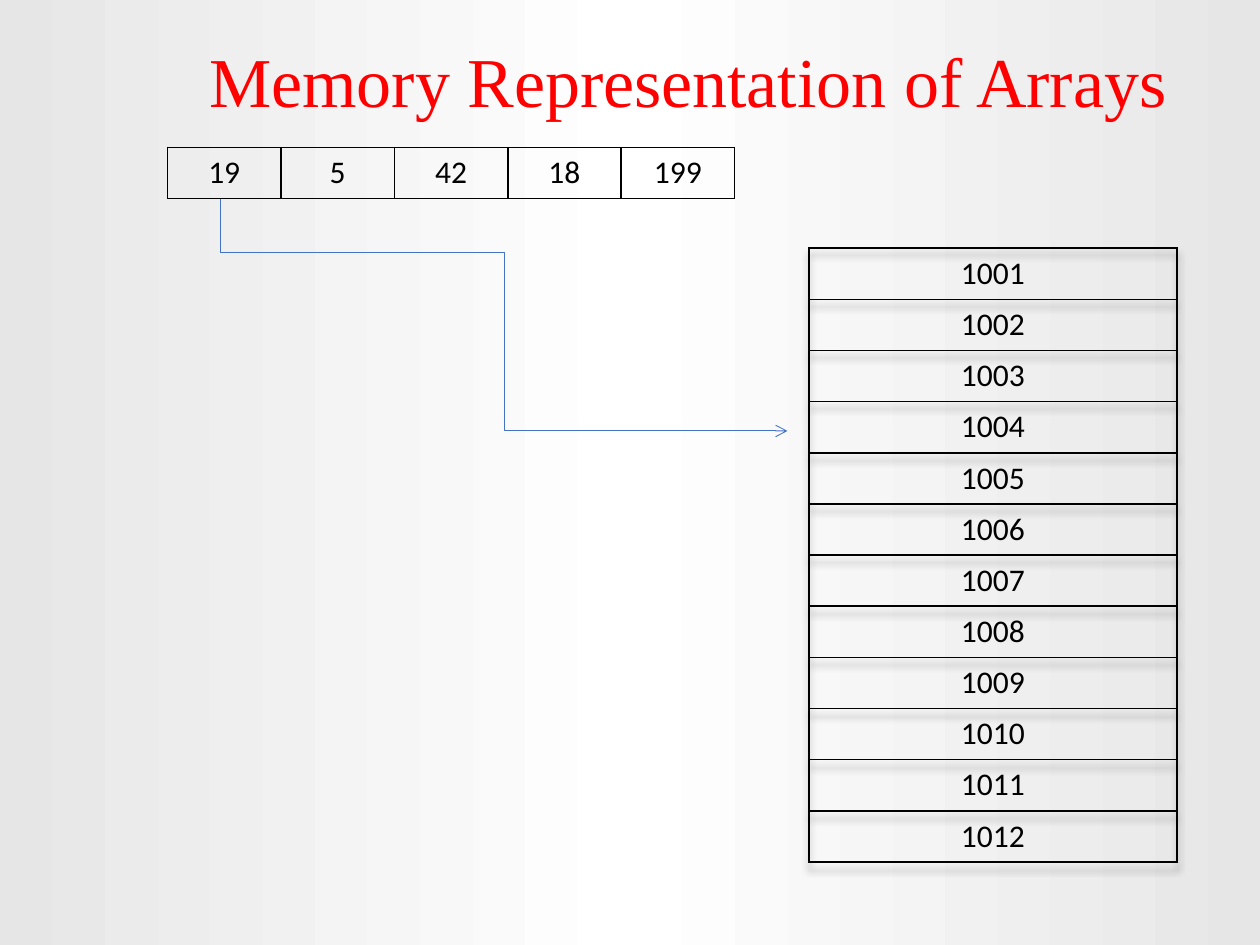
"""Build a slide showing how array values map to memory addresses."""
from copy import deepcopy

from lxml import etree
from pptx import Presentation
from pptx.dml.color import RGBColor
from pptx.enum.shapes import MSO_CONNECTOR
from pptx.enum.text import MSO_ANCHOR, PP_ALIGN
from pptx.oxml import parse_xml
from pptx.oxml.ns import nsdecls, qn
from pptx.util import Inches, Pt

CENTER = PP_ALIGN.CENTER
MIDDLE = MSO_ANCHOR.MIDDLE
ELBOW = MSO_CONNECTOR.ELBOW
STRAIGHT = MSO_CONNECTOR.STRAIGHT
COLORS = {"title": "FF0000", "text": "000000", "border": "000000",
          "arrow": "4472C4", "edge": "E7E6E6", "middle": "FFFFFF"}
FORMATS = {"title": {"name": "Times New Roman", "size": Pt(40), "bold": False},
           "text": {"name": "Calibri", "size": Pt(18), "bold": False}}
ROW_HEIGHT = 0.406


def write(para, words, style):
    """Put one centred, formatted span into a paragraph."""
    para.alignment = CENTER
    span = para.add_run()
    span.text = words
    for key, value in FORMATS[style].items():
        setattr(span.font, key, value)
    span.font.color.rgb = RGBColor.from_string(COLORS[style])


def add_grid(page, rows, left, top, column_width):
    """Add an unfilled table with black borders."""
    count = len(rows[0])
    frame = page.shapes.add_table(
        len(rows), count, Inches(left), Inches(top),
        Inches(column_width * count), Inches(ROW_HEIGHT * len(rows)))
    table = frame.table
    table.first_row = table.horz_banding = False
    for r, values in enumerate(rows):
        for c, value in enumerate(values):
            cell = table.cell(r, c)
            cell.fill.background()
            write(cell.text_frame.paragraphs[0], value, "text")
            properties = cell._tc.get_or_add_tcPr()
            for place, side in enumerate(("lnL", "lnR", "lnT", "lnB")):
                properties.insert(place, parse_xml(
                    f'<a:{side} {nsdecls("a")} w="12700"><a:solidFill>'
                    f'<a:srgbClr val="{COLORS["border"]}"/></a:solidFill></a:{side}>'))
    return table


deck = Presentation()
deck.slide_width, deck.slide_height = Inches(10), Inches(7.5)
page = deck.slides.add_slide(deck.slide_layouts[5])

backdrop = page.background.fill
backdrop.gradient()
backdrop.gradient_angle = 180
stop_list = page.element.find(".//" + qn("a:gsLst"))
stop_list.append(deepcopy(stop_list[0]))
for stop, position, color in zip(backdrop.gradient_stops, (0, 0.5, 1),
                                 ("edge", "middle", "edge")):
    stop.position = position
    stop.color.rgb = RGBColor.from_string(COLORS[color])

title = page.shapes.title
title.left, title.top = Inches(1.25), Inches(0.25)
title.width, title.height = Inches(8.42), Inches(0.77)
title.text_frame.vertical_anchor = MIDDLE
write(title.text_frame.paragraphs[0], "Memory Representation of Arrays", "title")

memory = add_grid(page, [[str(address)] for address in range(1001, 1013)], 6.42, 1.97, 2.92)
memory._tbl.tblPr.insert(0, parse_xml(
    f'<a:effectLst {nsdecls("a")}><a:outerShdw blurRad="50800" dist="50800" dir="5400000">'
    '<a:srgbClr val="000000"><a:alpha val="40000"/></a:srgbClr>'
    '</a:outerShdw></a:effectLst>'))
add_grid(page, [["19", "5", "42", "18", "199"]], 1.33, 1.17, 0.9)

for kind, end_x, end_y in ((ELBOW, 6.25, 3.42), (STRAIGHT, 1.75, 1.58)):
    link = page.shapes.add_connector(
        kind, Inches(1.75), Inches(2), Inches(end_x), Inches(end_y))
    link.line.color.rgb = RGBColor.from_string(COLORS["arrow"])
    link.line.width = Pt(0.5)
    if kind == ELBOW:
        etree.SubElement(link.line._get_or_add_ln(), qn("a:tailEnd"), type="arrow")
    etree.SubElement(link._element.spPr, qn("a:effectLst"))

deck.save("out.pptx")
